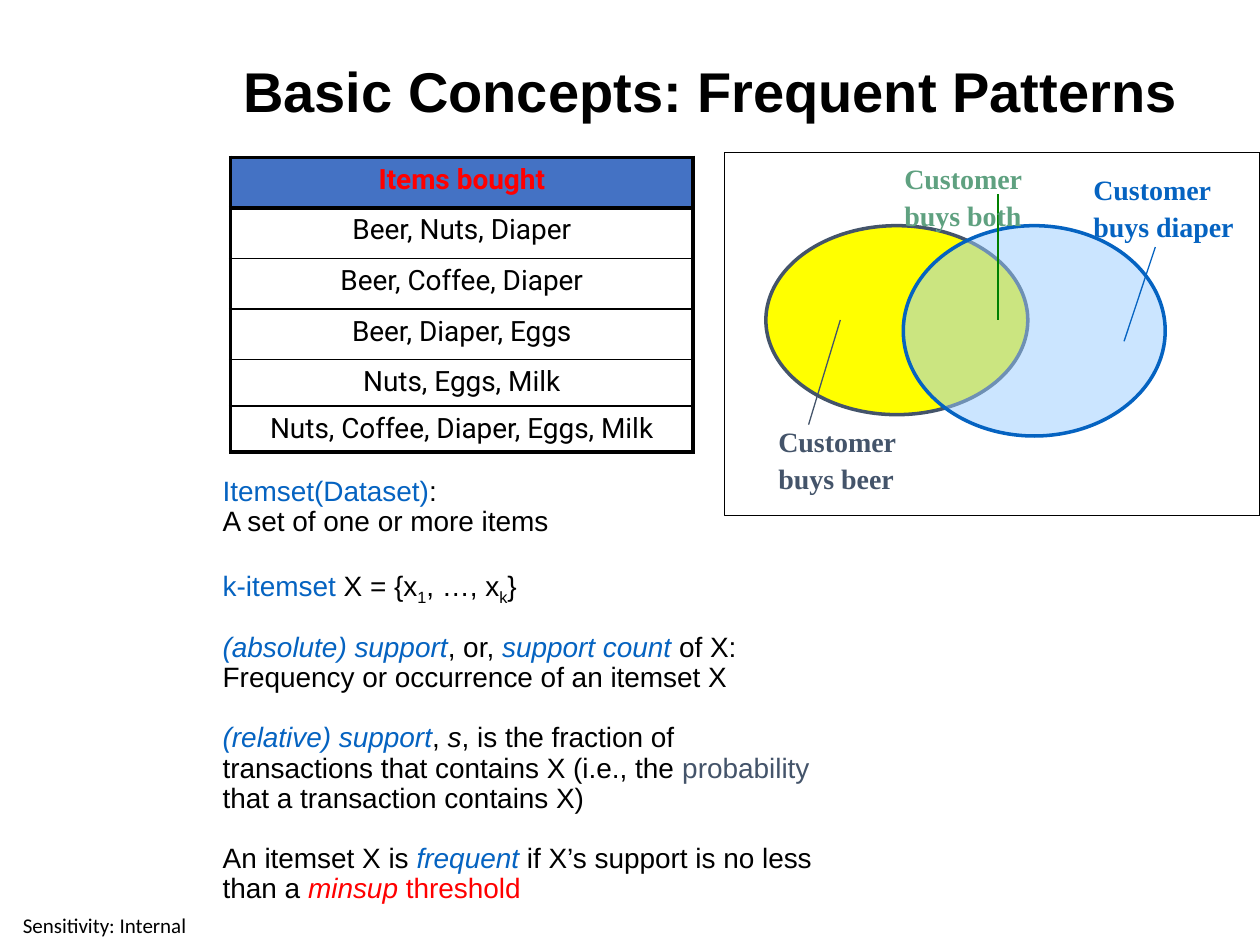
"""Builds the slide on frequent patterns: transactions, definitions and a Venn diagram."""
from dataclasses import dataclass

import pptx
import pptx.dml.color
import pptx.enum.shapes
import pptx.enum.text
import pptx.oxml
import pptx.oxml.ns
import pptx.util

Cm, Pt = pptx.util.Cm, pptx.util.Pt
RGB = pptx.dml.color.RGBColor.from_string
SHAPE = pptx.enum.shapes.MSO_SHAPE
ALIGN = pptx.enum.text.PP_ALIGN
ANCHOR = pptx.enum.text.MSO_ANCHOR


@dataclass(frozen=True)
class Theme:
    """Colours, fonts and type sizes of the slide."""
    black: str = "000000"
    red: str = "FF0000"
    blue: str = "0563C1"
    slate: str = "44546A"
    sage: str = "5FA180"
    green: str = "008000"
    header: str = "4472C4"
    yellow: str = "FFFF00"
    sky: str = "99CCFF"
    body_font: str = "Arial"
    table_font: str = "Roboto"
    label_font: str = "Times New Roman"
    footer_font: str = "Calibri"
    title_size: int = 32
    text_size: int = 16
    footer_size: int = 12


THEME = Theme()

TRANSACTIONS = ["Beer, Nuts, Diaper", "Beer, Coffee, Diaper", "Beer, Diaper, Eggs",
                "Nuts, Eggs, Milk", "Nuts, Coffee, Diaper, Eggs, Milk"]

TERM = {"color": THEME.blue}
TERM_ITALIC = {"color": THEME.blue, "italic": True}
SUBSCRIPT = {"subscript": True}
DEFINITIONS = [
    (0, [("Itemset(Dataset)", TERM), (":", {})]),
    (0, [("A set of one or more items", {})]),
    (18, [("k-itemset", TERM), (" X = {x", {}), ("1", SUBSCRIPT), (", …, x", {}),
          ("k", SUBSCRIPT), ("}", {})]),
    (17, [("(absolute) support", TERM_ITALIC), (", or, ", {}),
          ("support count", TERM_ITALIC),
          (" of X: Frequency or occurrence of an itemset X", {})]),
    (17, [("(relative) support", TERM_ITALIC), (", ", {}), ("s", {"italic": True}),
          (", is the fraction of transactions that contains X (i.e., the ", {}),
          ("probability", {"color": THEME.slate}),
          (" that a transaction contains X)", {})]),
    (17, [("An itemset X is ", {}), ("frequent", TERM_ITALIC),
          (" if X’s support is no less than a ", {}),
          ("minsup", {"color": THEME.red, "italic": True}),
          (" threshold", {"color": THEME.red})]),
]


def add_run(paragraph, text, font, size=THEME.text_size, color=THEME.black,
            bold=False, italic=False, subscript=False):
    """Append one formatted run."""
    run = paragraph.add_run()
    run.text = text
    run.font.name, run.font.size = font, Pt(size)
    run.font.bold, run.font.italic = bold, italic
    run.font.color.rgb = RGB(color)
    if subscript:
        run._r.get_or_add_rPr().set("baseline", "-25000")


def add_text_frame(shapes, box, wrap=True):
    """Add a text box and return its text frame."""
    frame = shapes.add_textbox(*map(Cm, box)).text_frame
    frame.word_wrap = wrap
    return frame


def next_paragraph(frame, index):
    """Return the first paragraph, or a new one after it."""
    return frame.add_paragraph() if index else frame.paragraphs[0]


def set_title(slide, text):
    """Place and format the title placeholder."""
    title = slide.shapes.title
    title.left, title.top, title.width, title.height = map(Cm, (4.65, 1.07, 19.74, 1.65))
    frame = title.text_frame
    frame.auto_size = pptx.enum.text.MSO_AUTO_SIZE.NONE
    frame.vertical_anchor = ANCHOR.MIDDLE
    paragraph = frame.paragraphs[0]
    paragraph.alignment, paragraph.line_spacing = ALIGN.LEFT, 0.9
    add_run(paragraph, text, THEME.body_font, THEME.title_size, bold=True)


def set_borders(cell, left, right, top, bottom):
    """Draw black cell borders with widths in points."""
    properties = cell._tc.get_or_add_tcPr()
    edges = zip(("lnL", "lnR", "lnT", "lnB"), (left, right, top, bottom))
    for position, (tag, width) in enumerate(edges):
        properties.insert(position, pptx.oxml.parse_xml(
            f'<a:{tag} {pptx.oxml.ns.nsdecls("a")} w="{Pt(width)}"><a:solidFill>'
            f'<a:srgbClr val="{THEME.black}"/></a:solidFill></a:{tag}>'))


def add_transactions(slide):
    """Add the one-column table of items bought."""
    texts = ["Items bought"] + TRANSACTIONS
    heights = [1.02] * 4 + [0.93] * 2
    last = len(texts) - 1
    table = slide.shapes.add_table(len(texts), 1, *map(Cm, (4.65, 3.17, 9.32, sum(heights)))).table
    table.horz_banding = False
    thick, thin = 2.25, 1
    for index, (text, height) in enumerate(zip(texts, heights)):
        header = index == 0
        table.rows[index].height = Cm(height)
        cell = table.cell(index, 0)
        if header:
            cell.fill.solid()
            cell.fill.fore_color.rgb = RGB(THEME.header)
        else:
            cell.fill.background()
        set_borders(cell, thick, thick, thick if index < 2 else thin,
                    thick if index in (0, last) else thin)
        paragraph = cell.text_frame.paragraphs[0]
        paragraph.alignment = ALIGN.CENTER
        paragraph.space_before = Pt(3.2)
        add_run(paragraph, text, THEME.table_font, bold=header,
                color=THEME.red if header else THEME.black)


def add_definitions(slide):
    """Add the definitions below the table."""
    frame = add_text_frame(slide.shapes, (4.24, 9.5, 12.7, 8.86))
    for index, (gap, runs) in enumerate(DEFINITIONS):
        paragraph = next_paragraph(frame, index)
        paragraph.line_spacing = 0.9
        if gap:
            paragraph.space_before = Pt(gap)
        for text, style in runs:
            add_run(paragraph, text, THEME.body_font, **style)


def add_outline(shapes, kind, box, line, width, fill=None, alpha=None):
    """Add an outlined shape, optionally filled and see-through."""
    shape = shapes.add_shape(kind, *map(Cm, box))
    shape.shadow.inherit = False
    shape.line.color.rgb, shape.line.width = RGB(line), Pt(width)
    if fill is None:
        shape.fill.background()
        return
    shape.fill.solid()
    shape.fill.fore_color.rgb = RGB(fill)
    if alpha is not None:
        color = shape._element.spPr.find(pptx.oxml.ns.qn("a:solidFill"))[0]
        color.append(pptx.oxml.parse_xml(
            f'<a:alpha {pptx.oxml.ns.nsdecls("a")} val="{alpha * 1000}"/>'))


def add_pointer(shapes, ends, color):
    """Add a thin straight line from a region to its label."""
    pointer = shapes.add_connector(pptx.enum.shapes.MSO_CONNECTOR.STRAIGHT, *map(Cm, ends))
    pointer.line.color.rgb, pointer.line.width = RGB(color), Pt(0.75)
    pointer._element.spPr.append(
        pptx.oxml.parse_xml(f'<a:effectLst {pptx.oxml.ns.nsdecls("a")}/>'))


def add_label(shapes, box, lines, color):
    """Add a bold label of several lines."""
    frame = add_text_frame(shapes, box, wrap=False)
    for index, text in enumerate(lines):
        paragraph = next_paragraph(frame, index)
        paragraph.line_spacing = 1.1
        add_run(paragraph, text, THEME.label_font, color=color, bold=True)


def add_venn(slide):
    """Add the framed Venn diagram of customers."""
    shapes = slide.shapes.add_group_shape().shapes
    add_outline(shapes, SHAPE.OVAL, (15.44, 4.55, 5.28, 3.81), THEME.slate, 2, THEME.yellow)
    add_outline(shapes, SHAPE.OVAL, (18.21, 4.55, 5.28, 4.24), THEME.blue, 2, THEME.sky, 50)
    add_pointer(shapes, (16.94, 6.45, 16.3, 8.56), THEME.slate)
    add_pointer(shapes, (22.66, 6.88, 23.29, 4.98), THEME.blue)
    add_pointer(shapes, (20.12, 6.45, 20.12, 3.91), THEME.green)
    add_label(shapes, (21.79, 3.28, 3.38, 1.75), ("Customer", "buys diaper"), THEME.blue)
    add_label(shapes, (17.98, 3.07, 2.9, 1.75), ("Customer", "buys both"), THEME.sage)
    add_label(shapes, (15.44, 8.36, 2.9, 1.75), ("Customer", "buys beer"), THEME.slate)
    add_outline(shapes, SHAPE.RECTANGLE, (14.6, 3.07, 10.8, 7.32), THEME.black, 0.75)


def add_sensitivity(slide):
    """Add the sensitivity marking in the bottom corner."""
    frame = add_text_frame(slide.shapes, (0, 18.24, 4.22, 0.81))
    frame.margin_left = frame.margin_right = frame.margin_top = frame.margin_bottom = 0
    frame.vertical_anchor = ANCHOR.MIDDLE
    frame.paragraphs[0].alignment = ALIGN.CENTER
    add_run(frame.paragraphs[0], "Sensitivity: Internal", THEME.footer_font, THEME.footer_size)


def main():
    """Build and save the presentation."""
    deck = pptx.Presentation()
    deck.slide_width, deck.slide_height = Cm(25.4), Cm(19.05)
    slide = deck.slides.add_slide(deck.slide_layouts.get_by_name("Title Only"))
    add_sensitivity(slide)
    set_title(slide, "Basic Concepts: Frequent Patterns")
    add_transactions(slide)
    add_definitions(slide)
    add_venn(slide)
    deck.save("out.pptx")


if __name__ == "__main__":
    main()
